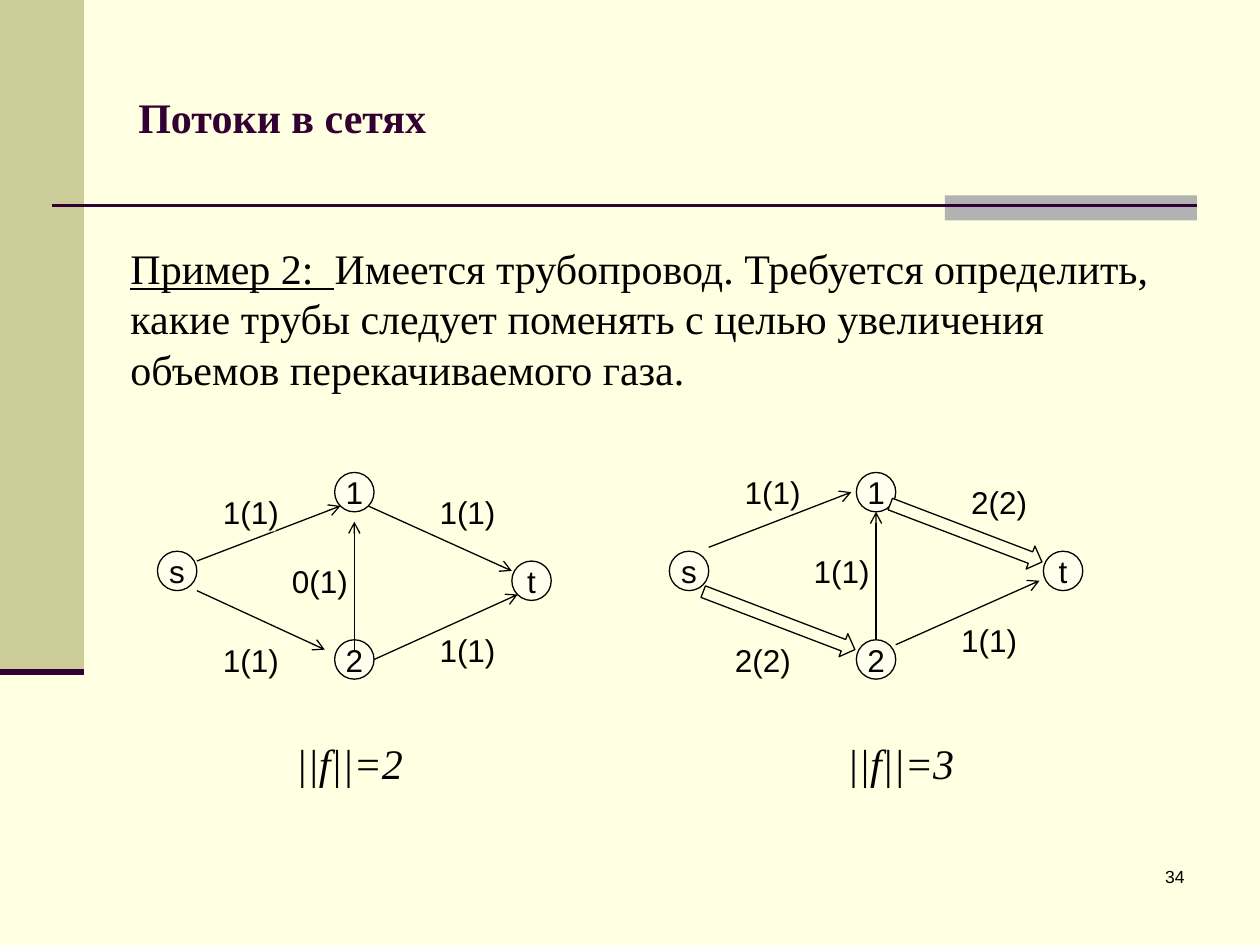
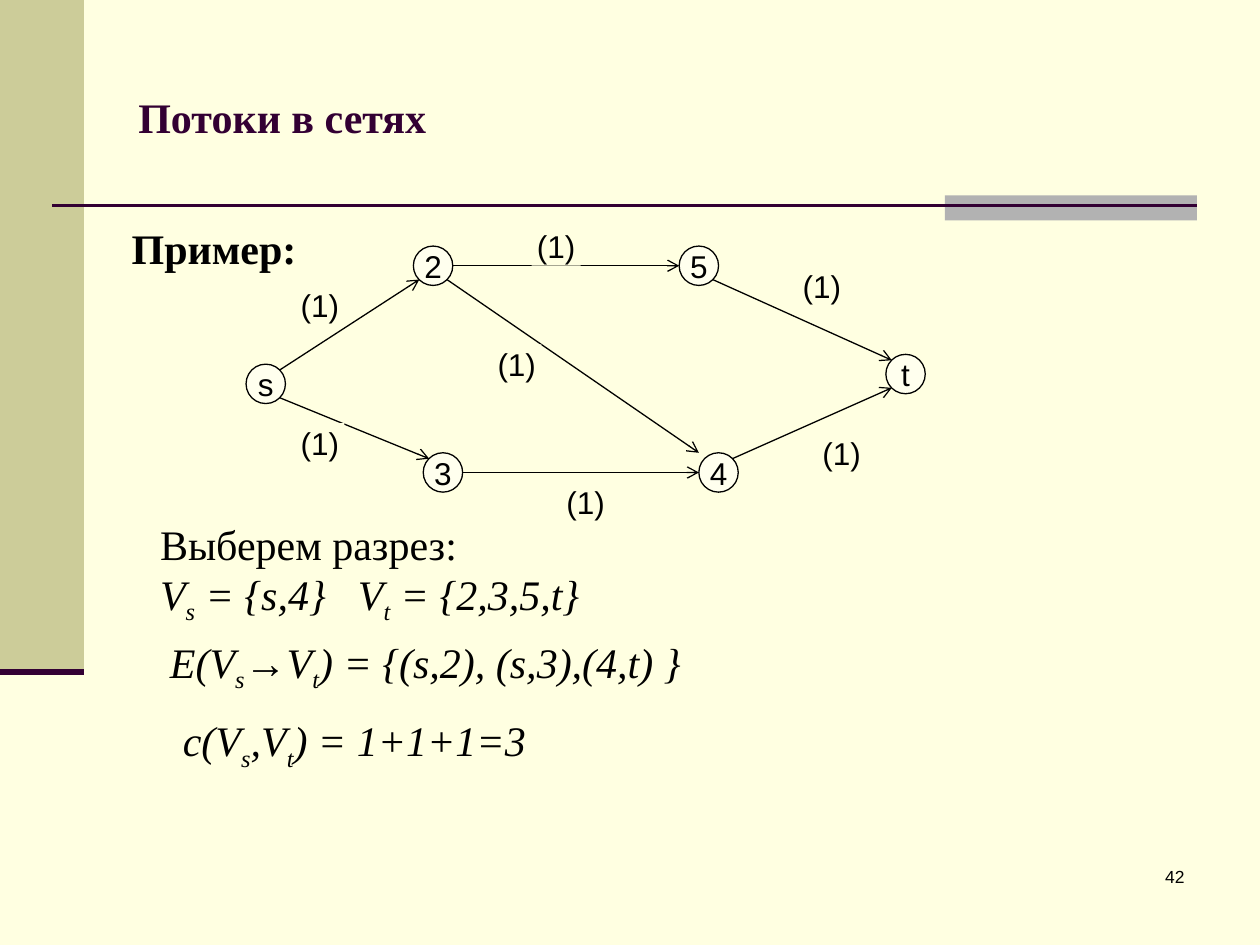
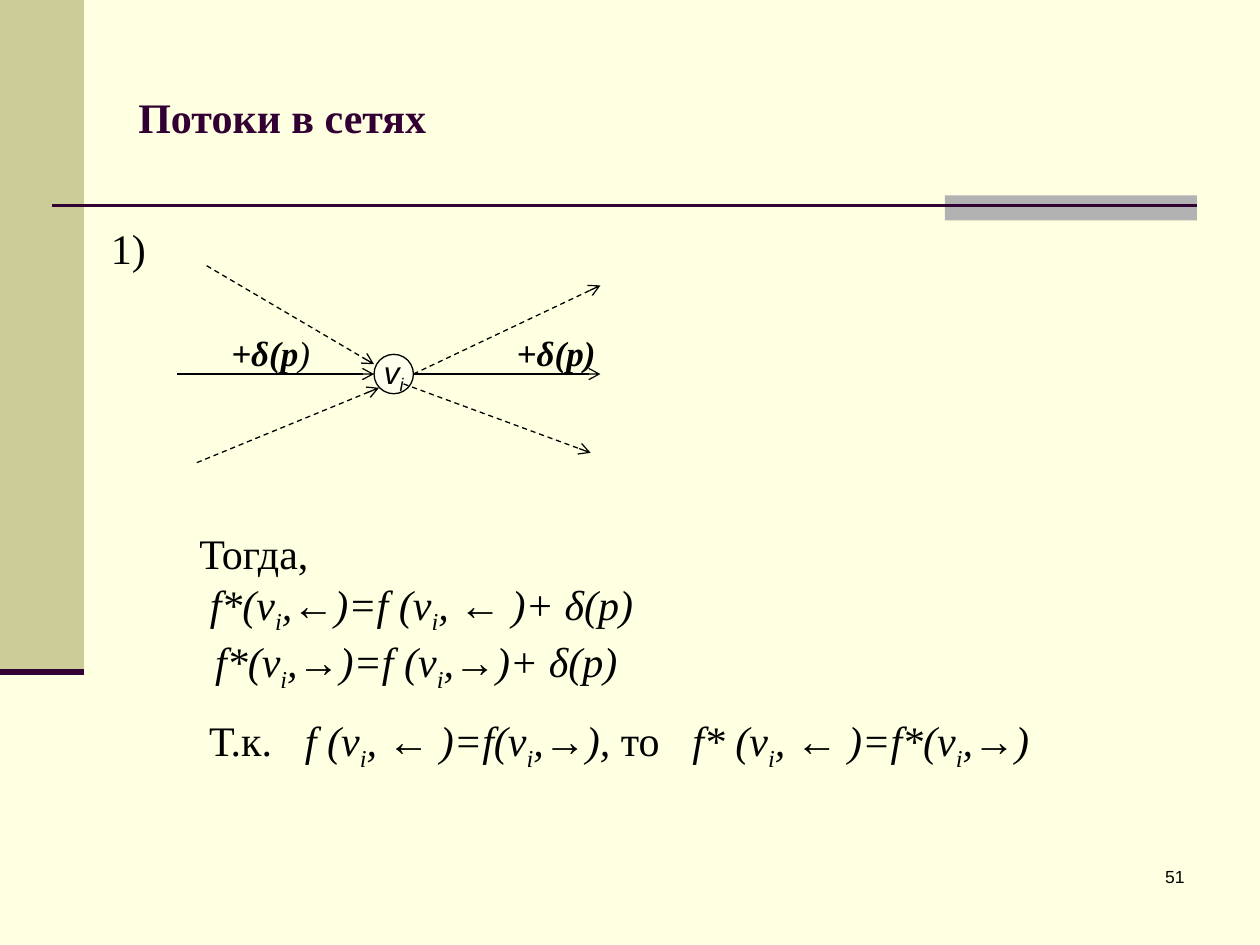
from lxml.etree import SubElement
from pptx import Presentation
from pptx.dml.color import RGBColor
from pptx.enum.dml import MSO_LINE
from pptx.enum.shapes import MSO_CONNECTOR, MSO_SHAPE
from pptx.enum.text import MSO_ANCHOR, MSO_AUTO_SIZE, PP_ALIGN
from pptx.oxml.ns import qn
from pptx.util import Inches, Pt

rgb = RGBColor.from_string
PAPER, NODE, INK, PLUM = "FFFFE1", "FFFFEE", "000000", "330033"
OLIVE, GREY = "CCCC99", "B2B2B2"

# Formats
SERIF = {"name": "Times New Roman", "size": Pt(24)}
ITALIC = SERIF | {"italic": True}
BOLD = SERIF | {"bold": True}
DELTA = ITALIC | {"size": Pt(20)}
LABEL = {"name": "Arial", "size": Pt(18)}
NUMBER = {"name": "Arial", "size": Pt(10)}
LEFT, CENTER, RIGHT = PP_ALIGN.LEFT, PP_ALIGN.CENTER, PP_ALIGN.RIGHT

prs = Presentation()
prs.slide_width, prs.slide_height = Inches(10), Inches(7.5)
U = prs.slide_width / 128  # square grid: 128 columns, 96 rows
fill = prs.slide_master.background.fill
fill.solid()
fill.fore_color.rgb = rgb(PAPER)


def add_box(s, box, paras=(), align=LEFT, kind=None, color=PAPER, border=None,
            wrap=False, grow=True, anchor=MSO_ANCHOR.TOP, ink=INK, tab=None):
    """Paragraphs are lists of (text, format); _x_ marks a subscript."""
    box = [int(v * U) for v in box]
    if kind is None:
        sp = s.shapes.add_textbox(*box)
    else:
        sp = s.shapes.add_shape(kind, *box)
        sp.shadow.inherit = False
        sp.fill.solid()
        sp.fill.fore_color.rgb = rgb(color)
        if border:
            sp.line.color.rgb, sp.line.width = rgb(border), Pt(0.75)
        else:
            sp.line.fill.background()
        grow, anchor = False, MSO_ANCHOR.MIDDLE
    tf = sp.text_frame
    tf.word_wrap, tf.vertical_anchor = wrap, anchor
    tf.auto_size = MSO_AUTO_SIZE.SHAPE_TO_FIT_TEXT if grow else MSO_AUTO_SIZE.NONE
    for i, runs in enumerate(paras):
        p = tf.add_paragraph() if i else tf.paragraphs[0]
        p.alignment = align[i] if isinstance(align, list) else align
        if tab:
            stops = SubElement(p._p.get_or_add_pPr(), qn("a:tabLst"))
            SubElement(stops, qn("a:tab"), pos=str(Inches(tab)), algn="l")
        for text, fmt in runs:
            for j, part in enumerate(text.split("_")):
                if part:
                    r = p.add_run()
                    r.text = part
                    for key, value in fmt.items():
                        setattr(r.font, key, value)
                    r.font.color.rgb = rgb(ink)
                    if j % 2:
                        r._r.get_or_add_rPr().set("baseline", "-25000")
    return sp


def add_line(s, ends, color=INK, width=0.75, dash=False, arrow=True):
    c = s.shapes.add_connector(MSO_CONNECTOR.STRAIGHT, *[int(v * U) for v in ends])
    c.line.color.rgb, c.line.width = rgb(color), Pt(width)
    if dash:
        c.line.dash_style = MSO_LINE.DASH
    if arrow:
        SubElement(c.line._get_or_add_ln(), qn("a:tailEnd"), type="arrow")
    SubElement(c._element.spPr, qn("a:effectLst"))


# Networks: nodes and labels by left and top, edges by ends
networks = [
    {"number": "34",
     "nodes": [("s", 16, 56), ("1", 34, 48), ("t", 52, 57), ("2", 34, 65),
               ("s", 68, 56), ("1", 87, 48), ("t", 106, 56), ("2", 87, 65)],
     "edges": [(20, 57, 34.6, 51.4), (20, 60, 33, 66), (36, 66, 36, 53),
               (37.4, 51.4, 52, 58), (38, 67, 52.6, 60.4),
               (72, 55.6, 86.5, 50), (91, 65.5, 105.6, 59), (89, 65, 89, 52)],
     "labels": [("1(1)", 23, 50), ("1(1)", 23, 65), ("0(1)", 30, 57),
                ("1(1)", 45, 64), ("1(1)", 45, 50),
                ("1(1)", 76, 48), ("2(2)", 99, 49), ("1(1)", 83, 56),
                ("2(2)", 75, 65), ("1(1)", 98, 63)]},
    {"number": "42",
     "nodes": [("s", 25, 37), ("2", 42, 25), ("5", 69, 25),
               ("t", 90, 36), ("3", 43, 46), ("4", 71, 46)],
     "edges": [(28.4, 37.6, 42.6, 28.4), (28.4, 40.4, 43.6, 46.6), (46, 27, 69, 27),
               (45.4, 28.4, 71, 46), (47, 48, 71, 48),
               (72.4, 28.4, 90.6, 36.6), (74.4, 46.6, 90.6, 39.4)],
     "labels": [("(1)", x, y) for x, y in
                [(30, 29), (57, 49), (30, 43), (50, 35), (54, 23), (81, 27), (83, 44)]]},
    {"number": "51",
     "nodes": [("v_i_", 38, 36)],
     "edges": [(18, 38, 38, 38), (42, 38, 61, 38)],
     "dashed": [(41, 39, 60, 46), (42, 38, 61, 29), (21, 27, 38, 37), (20, 47, 38.5, 39.4)],
     "labels": []},
]

slides = []
for net in networks:
    s = prs.slides.add_slide(prs.slide_layouts[6])
    slides.append(s)

    # Bands, rules, title and slide number
    add_box(s, (0, 0, 8.53, 68.27), kind=MSO_SHAPE.RECTANGLE, color=OLIVE)
    add_box(s, (96, 19.84, 25.6, 2.56), kind=MSO_SHAPE.RECTANGLE, color=GREY)
    add_line(s, (5.33, 20.86, 121.6, 20.86), PLUM, 1.5, arrow=False)
    add_line(s, (0, 68.27, 8.53, 68.27), PLUM, 3.5, arrow=False)
    add_box(s, (12.8, 3.84, 108.8, 16), [[("Потоки в сетях", BOLD)]], wrap=True,
            grow=False, anchor=MSO_ANCHOR.MIDDLE, ink=PLUM)
    add_box(s, (95, 87.4, 26.6, 6.4), [[(net["number"], NUMBER)]], RIGHT,
            wrap=True, grow=False)

    # Network
    for name, x, y in net["nodes"]:
        fmt = LABEL | {"italic": "_" in name}
        add_box(s, (x, y, 4, 4), [[(name, fmt)]], CENTER,
                MSO_SHAPE.FLOWCHART_CONNECTOR, NODE, INK)
    for ends in net["edges"]:
        add_line(s, ends)
    for ends in net.get("dashed", []):
        add_line(s, ends, dash=True)
    for label, x, y in net["labels"]:
        add_box(s, (x, y, 5, 4), [[(label, LABEL)]], CENTER, MSO_SHAPE.RECTANGLE)

pipeline, cut, flow = slides

# Pipeline: task, widened pipes and flow values
add_box(pipeline, (12, 24, 110, 16.8), [[
    ("Пример 2:  ", SERIF | {"underline": True}),
    ("Имеется трубопровод. Требуется определить, какие трубы следует поменять "
     "с целью увеличения объемов перекачиваемого газа.", SERIF)]], wrap=True)
for x, y in [(70.9, 61.8), (89.9, 52.9)]:
    pipe = add_box(pipeline, (x, y, 16.5, 2.5), kind=MSO_SHAPE.RIGHT_ARROW, border=INK)
    pipe.rotation = 20.9
for x, value in [(30, "||f||=2"), (86, "||f||=3")]:
    add_box(pipeline, (x, 72, 11, 11), [[(value, ITALIC)]], CENTER, MSO_SHAPE.RECTANGLE)

# Cut: choice of the cut, its edges and capacity
add_box(cut, (12, 22, 19.5, 6.4), [[("Пример:", BOLD)]], CENTER)
add_box(cut, (15, 52, 47.2, 11.6),
        [[("Выберем разрез:", SERIF)],
         [("V_s_ = {s,4}\tV_t_ = {2,3,5,t}", ITALIC)]], wrap=True, tab=1.57)
add_box(cut, (16, 64, 107, 6.4),
        [[("E(V_s_→V_t_) = {(s,2), (s,3),(4,t) }", ITALIC)]], wrap=True)
add_box(cut, (17, 72, 38, 6.4), [[("с(V_s_,V_t_) = 1+1+1=3", ITALIC)]], CENTER)

# Flow: increments at the vertex and the balance
add_box(flow, (10, 22, 7, 6.4), [[("1)", SERIF)]], wrap=True)
heavy = DELTA | {"bold": True}
add_box(flow, (22, 33, 11, 5.6), [[("+δ(p", heavy), (")", DELTA)]], CENTER)
add_box(flow, (51, 33, 11, 5.6), [[("+δ(p)", heavy)]], CENTER)
add_box(flow, (19, 53, 48.6, 16.8),
        [[("Тогда,", SERIF)],
         [(" f*(v_i_,←)=f (v_i_, ← )+ δ(p)", ITALIC)],
         [("f*(v_i_,→)=f (v_i_,→)+ δ(p)", ITALIC)]], [LEFT, LEFT, CENTER])
add_box(flow, (20, 72, 50, 6.4),
        [[("Т.к.\t", SERIF), ("f (v_i_, ← )=f(v_i_,→), ", ITALIC), ("то", SERIF)]], tab=0.76)
add_box(flow, (68, 72, 38.3, 6.4),
        [[(" ", SERIF), ("f* (v_i_, ← )=f*(v_i_,→)", ITALIC)]])

prs.save("out.pptx")
